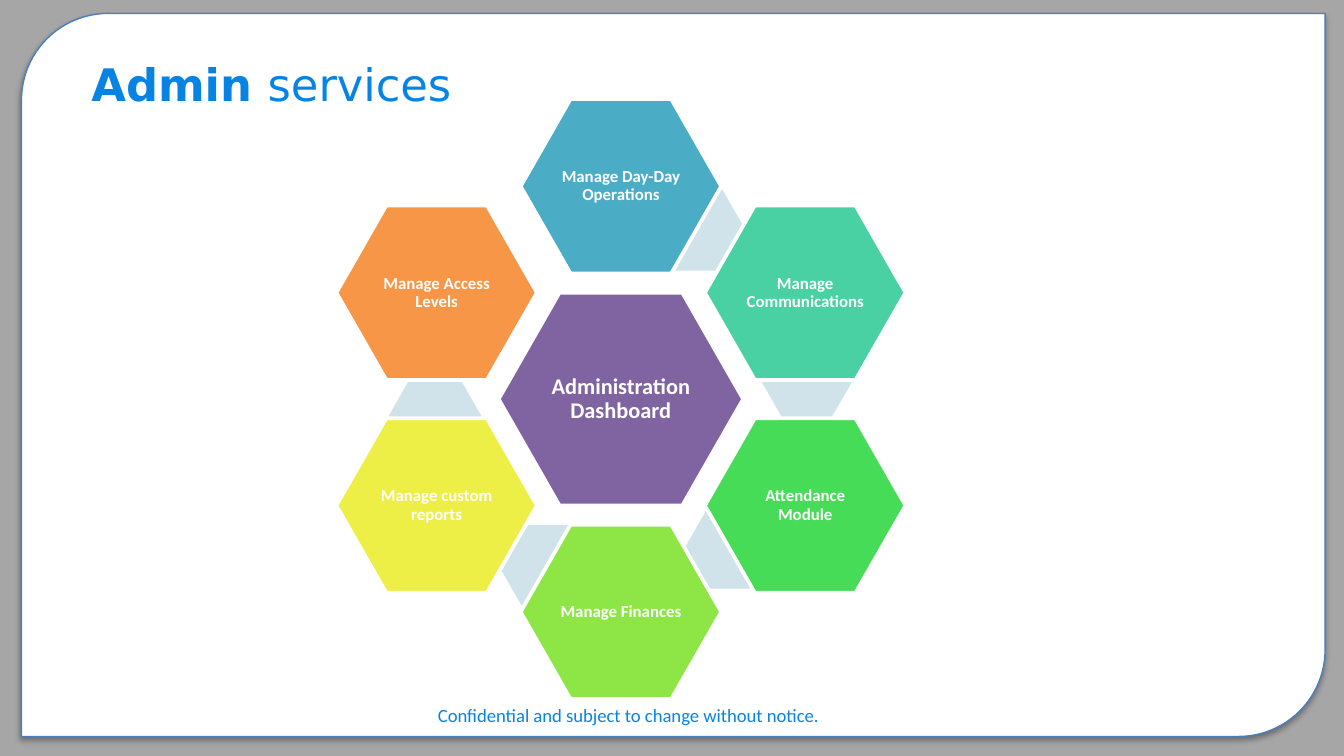
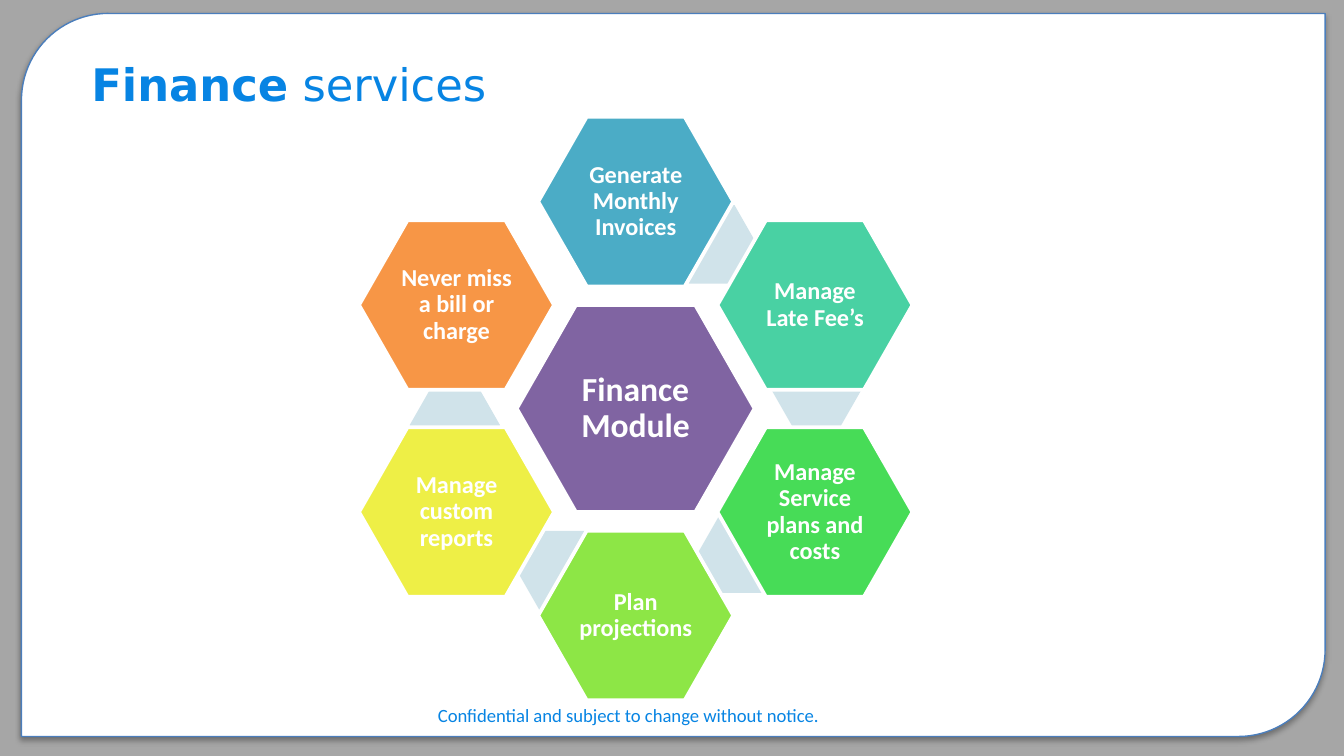
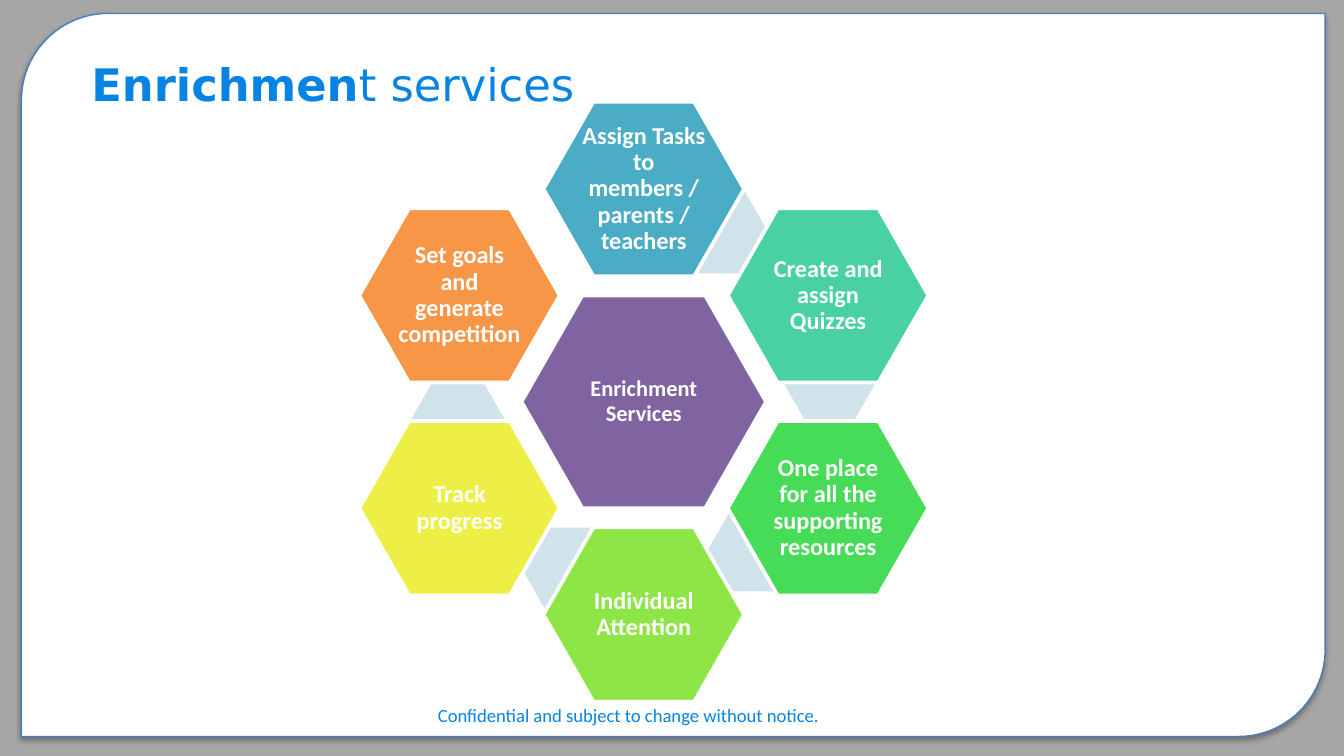
from math import cos, radians, sin

from lxml.etree import SubElement
from pptx import Presentation
from pptx.dml.color import RGBColor
from pptx.enum.shapes import MSO_SHAPE as Preset
from pptx.enum.text import MSO_ANCHOR as Anchor, MSO_AUTO_SIZE as AutoSize, PP_ALIGN as Align
from pptx.oxml.ns import qn
from pptx.util import Inches, Pt

# Shared style
BACKDROP = RGBColor(0xA6, 0xA6, 0xA6)
WHITE = RGBColor(0xFF, 0xFF, 0xFF)
CARD_EDGE = RGBColor(0x4B, 0x7E, 0xBC)
BLUE = RGBColor(0x07, 0x84, 0xE3)
CORE_PURPLE = RGBColor(0x80, 0x64, 0xA2)
ACCENT_PALE = RGBColor(0xD0, 0xE3, 0xEA)
PETAL_COLORS = [
    RGBColor(0x4B, 0xAC, 0xC6),
    RGBColor(0x49, 0xD1, 0xA3),
    RGBColor(0x47, 0xDC, 0x57),
    RGBColor(0x8D, 0xE6, 0x46),
    RGBColor(0xEE, 0xEF, 0x46),
    RGBColor(0xF7, 0x96, 0x46),
]
TITLE_FONT = "DejaVu Sans"
BODY_FONT = "Calibri"
FOOTER = "Confidential and subject to change without notice."

# Hexagon ring, as fractions of the core's width
HEX_RATIO = 0.87
PETAL_SCALE = 0.82
ACCENT_SCALE = 0.38
ACCENT_OFFSETS = [(0.32, -0.69), (0.76, -0.08), (0.45, 0.61), (-0.31, 0.68), (-0.76, 0.07)]

# Content: title (bold, plain), ring centre, core width, core and petal text
SERVICES = [
    dict(title=("Admin ", "services"), center=(4.62, 2.97), core_width=1.82,
         core="Administration Dashboard", core_size=12, petal_size=9, inset=0.01,
         petals=["Manage Day-Day Operations", "Manage Communications",
                 "Attendance Module", "Manage Finances",
                 "Manage custom reports", "Manage Access Levels"]),
    dict(title=("Finance", " services"), center=(4.73, 3.04), core_width=1.77,
         core="Finance Module", core_size=18, petal_size=13, inset=0.02,
         petals=["Generate Monthly Invoices", "Manage Late Fee\u2019s",
                 "Manage Service plans and costs", "Plan projections",
                 "Manage custom reports", "Never miss a bill or charge"]),
    dict(title=("Enrichmen", "t services"), center=(4.79, 2.99), core_width=1.82,
         core="Enrichment Services", core_size=12, petal_size=13, inset=0.02,
         petals=["Assign Tasks to members / parents / teachers",
                 "Create and assign Quizzes",
                 "One place for all the supporting resources",
                 "Individual Attention", "Track progress",
                 "Set goals and generate competition"]),
]


def style_run(run, font, size, color, bold=False):
    run.font.name = font
    run.font.size = Pt(size)
    run.font.color.rgb = color
    run.font.bold = bold


def place(shape, left, top, width, height):
    shape.left, shape.top = Inches(left), Inches(top)
    shape.width, shape.height = Inches(width), Inches(height)


def add_card(slide):
    """White page with two rounded corners and a soft shadow, behind the title."""
    card = slide.shapes.add_shape(Preset.ROUND_2_DIAG_RECTANGLE, Inches(0.16),
                                  Inches(0.1), Inches(9.7), Inches(5.38))
    card.adjustments[0] = 0.12
    card.fill.solid()
    card.fill.fore_color.rgb = WHITE
    card.line.color.rgb = CARD_EDGE
    card.line.width = Pt(0.75)
    card.shadow.inherit = False
    effects = card._element.spPr.find(qn("a:effectLst"))
    shadow = SubElement(effects, qn("a:outerShdw"), blurRad=str(Pt(3.1)),
                        dist=str(Pt(1.8)), dir="5400000", rotWithShape="0")
    shade = SubElement(shadow, qn("a:srgbClr"), val="000000")
    SubElement(shade, qn("a:alpha"), val="35000")
    slide.shapes._spTree.insert(2, card._element)


def add_footer(slide):
    footer = slide.shapes.add_textbox(Inches(3.16), Inches(5.19), Inches(3.1), Inches(0.44))
    frame = footer.text_frame
    frame.word_wrap = True
    frame.text = FOOTER
    style_run(frame.paragraphs[0].runs[0], BODY_FONT, 10, BLUE)


def set_title(slide, bold_part, plain_part):
    title = slide.shapes.title
    place(title, 0.58, 0.37, 6.41, 0.5)
    frame = title.text_frame
    frame.auto_size = AutoSize.NONE
    frame.vertical_anchor = Anchor.TOP
    heading = frame.paragraphs[0]
    heading.alignment = Align.LEFT
    for part, bold in ((bold_part, True), (plain_part, False)):
        run = heading.add_run()
        run.text = part
        style_run(run, TITLE_FONT, 24, BLUE, bold)


def add_hexagon(ring, center_x, center_y, width, color):
    height = width * HEX_RATIO
    hexagon = ring.shapes.add_shape(
        Preset.HEXAGON, Inches(center_x - width / 2), Inches(center_y - height / 2),
        Inches(width), Inches(height))
    hexagon.adjustments[0] = 0.286
    hexagon.fill.solid()
    hexagon.fill.fore_color.rgb = color
    hexagon.line.fill.background()
    hexagon.shadow.inherit = False
    return hexagon


def label_hexagon(hexagon, label, size, inset):
    """White outline and a centred bold label."""
    hexagon.line.color.rgb = WHITE
    hexagon.line.width = Pt(2)
    frame = hexagon.text_frame
    frame.word_wrap = True
    frame.vertical_anchor = Anchor.MIDDLE
    frame.margin_left = frame.margin_right = Inches(inset)
    frame.margin_top = frame.margin_bottom = Inches(inset)
    frame.text = label
    paragraph = frame.paragraphs[0]
    paragraph.alignment = Align.CENTER
    paragraph.line_spacing = 0.9
    style_run(paragraph.runs[0], BODY_FONT, size, WHITE, bold=True)


def add_ring(slide, service):
    """Core hexagon with six petals, clockwise from the top, and pale links."""
    ring = slide.shapes.add_group_shape()
    x, y = service["center"]
    width = service["core_width"]
    radius = width * HEX_RATIO
    core = add_hexagon(ring, x, y, width, CORE_PURPLE)
    label_hexagon(core, service["core"], service["core_size"], 0.02)
    for i, (label, color) in enumerate(zip(service["petals"], PETAL_COLORS)):
        if i < len(ACCENT_OFFSETS):
            dx, dy = ACCENT_OFFSETS[i]
            add_hexagon(ring, x + dx * width, y + dy * width,
                        width * ACCENT_SCALE, ACCENT_PALE)
        angle = radians(60 * i)
        petal = add_hexagon(ring, x + radius * sin(angle), y - radius * cos(angle),
                            width * PETAL_SCALE, color)
        label_hexagon(petal, label, service["petal_size"], service["inset"])


def main():
    prs = Presentation()
    # Widescreen, 16:9
    prs.slide_width = Inches(10)
    prs.slide_height = prs.slide_width * 9 // 16
    backdrop = prs.slide_master.background.fill
    backdrop.solid()
    backdrop.fore_color.rgb = BACKDROP
    title_only = prs.slide_layouts[5]
    for service in SERVICES:
        slide = prs.slides.add_slide(title_only)
        add_card(slide)
        add_footer(slide)
        set_title(slide, *service["title"])
        add_ring(slide, service)
    prs.save("out.pptx")


main()
